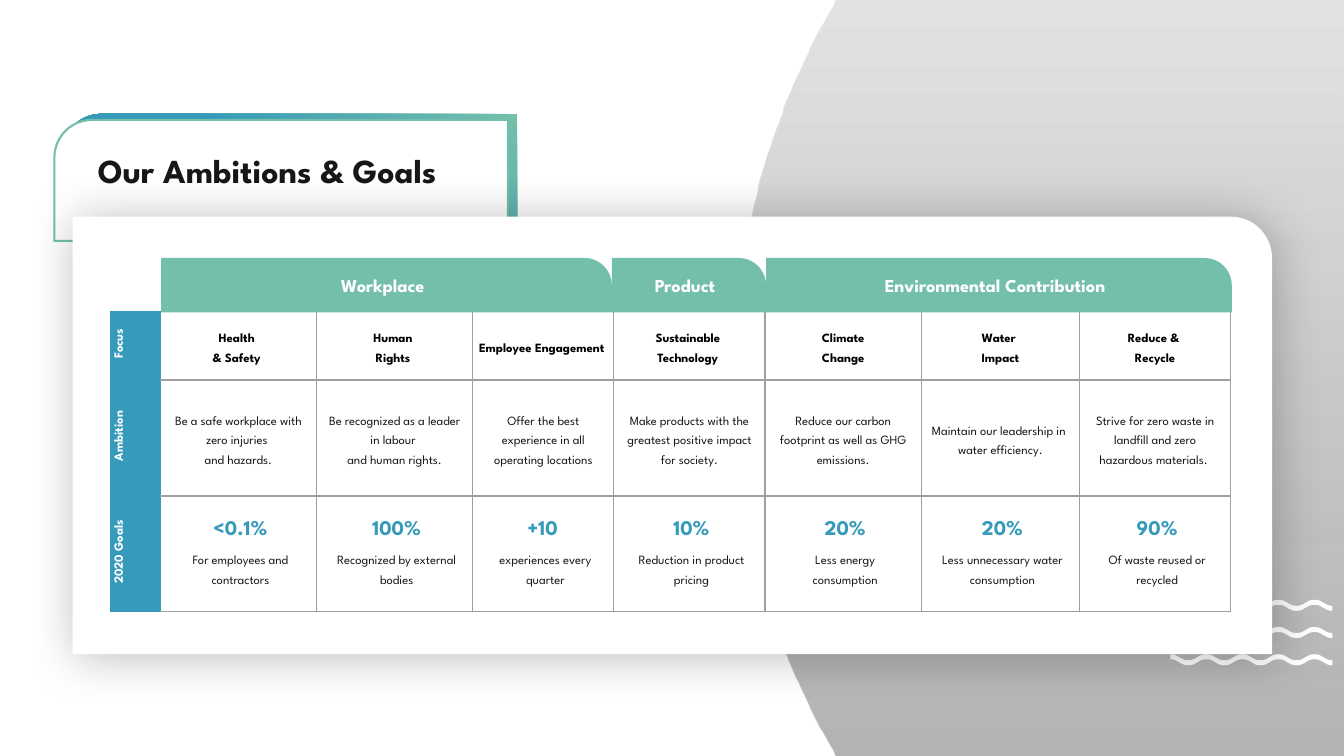
import pptx
import pptx.dml.color
import pptx.enum.shapes
import pptx.enum.text
import pptx.oxml
import pptx.oxml.ns
import pptx.util

PX = 9144  # 100 px to the inch
TEAL, BLUE, WHITE, INK, GREY = "74BFAB", "369ABA", "FFFFFF", "181717", "9F9FA0"
FONT = "League Spartan"
CENTER = pptx.enum.text.PP_ALIGN.CENTER
MIDDLE = pptx.enum.text.MSO_ANCHOR.MIDDLE
rgb = pptx.dml.color.RGBColor.from_string
qn = pptx.oxml.ns.qn
nsdecls = pptx.oxml.ns.nsdecls


def write(tf, text, size=9, color=INK, bold=False, align=CENTER, spacing=None, before=0):
    """Add one paragraph for each line of text, using the empty first one if there is one."""
    for line in text.split("\n"):
        p = tf.paragraphs[0] if not tf.text else tf.add_paragraph()
        p.alignment = align
        p.space_before = pptx.util.Pt(before)
        if spacing:
            p.line_spacing = pptx.util.Pt(spacing)
        r = p.add_run()
        r.text = line
        r.font.name = FONT
        r.font.size = pptx.util.Pt(size)
        r.font.bold = bold
        r.font.color.rgb = rgb(color)


def add_panel(x, y, w, h, corner, color):
    """Add a rectangle with one rounded corner, without line or shadow."""
    sp = s.shapes.add_shape(pptx.enum.shapes.MSO_SHAPE.ROUND_1_RECTANGLE,
                            x * PX, y * PX, w * PX, h * PX)
    sp.adjustments[0] = corner
    sp.shadow.inherit = False
    sp.fill.solid()
    sp.fill.fore_color.rgb = rgb(color)
    sp.line.fill.background()
    return sp


prs = pptx.Presentation()
prs.slide_width = pptx.util.Inches(13.3334)
prs.slide_height = 750 * PX
s = prs.slides.add_slide(prs.slide_layouts[5])

# Title frame
back = add_panel(63, 113, 450, 120, 0.31, TEAL)
back.fill.gradient()
back.fill.gradient_angle = 315
for stop, position, color in zip(back.fill.gradient_stops, (0, 0.56), (TEAL, BLUE)):
    stop.position = position
    stop.color.rgb = rgb(color)
front = add_panel(54, 119, 450, 120, 0.31, WHITE)
front.line.color.rgb = rgb(TEAL)
front.line.width = pptx.util.Pt(1.5)
for sp in (back, front):
    sp.element.spPr.find(qn("a:xfrm")).set("flipH", "1")

# Grey disc and white waves: segments of one point are lines, of three points are curves
outlines = [[[(1333, 0)], [(830, 0)], [(818, 21)],
             [(761, 126), (728, 247), (728, 375)], [(728, 503), (761, 624), (818, 729)],
             [(830, 750)], [(1333, 750)]]]
half_wave = 161 / 9
for top in (595, 622, 649):
    there, again = [], []
    for i in range(9):
        x1, x2 = 1161 + i * half_wave, 1161 + (i + 1) * half_wave
        y1, y2 = (top, top + 6) if i % 2 == 0 else (top + 6, top)
        mid = (x1 + x2) / 2
        there.append([(mid, y1), (mid, y2), (x2, y2)])
        again.insert(0, [(mid, y2 + 5), (mid, y1 + 5), (x1, y1 + 5)])
    outlines.append([[(1161, top)]] + there + [[(1322, top + 11)]] + again)

freeforms = []
for segments in outlines:
    points = [(round(x * PX), round(y * PX)) for segment in segments for x, y in segment]
    builder = s.shapes.build_freeform(*points[0])
    builder.add_line_segments(points[1:], close=True)
    sp = builder.convert_to_shape()
    lines = list(sp.element.spPr.iter(qn("a:lnTo")))
    for segment in segments[1:]:
        parts = [lines.pop(0) for point in segment]
        if len(parts) == 3:
            curve = pptx.oxml.parse_xml(f'<a:cubicBezTo {nsdecls("a")}/>')
            parts[0].addprevious(curve)
            for part in parts:
                curve.append(part[0])
                part.getparent().remove(part)
    sp.shadow.inherit = False
    sp.line.fill.background()
    sp.fill.solid()
    sp.fill.fore_color.rgb = rgb(WHITE)
    freeforms.append(sp)

disc = freeforms[0]
disc.fill.gradient()
disc.fill.gradient_angle = 270
for stop, position, color in zip(disc.fill.gradient_stops, (0, 0.99), ("D5D5D5", "797777")):
    stop.position = position
    stop.color.rgb = rgb(color)
for clr, opacity in zip(disc.element.spPr.iter(qn("a:srgbClr")), (64000, 55000)):
    clr.append(pptx.oxml.parse_xml(f'<a:alpha {nsdecls("a")} val="{opacity}"/>'))

# Title
title = s.shapes.title
title.left, title.top, title.width, title.height = 94 * PX, 146 * PX, 373 * PX, 46 * PX
tf = title.text_frame
tf.word_wrap = True
tf.vertical_anchor = MIDDLE
tf.margin_left = tf.margin_top = tf.margin_right = tf.margin_bottom = 3 * PX
write(tf, "Our Ambitions & Goals", size=24, bold=True, align=pptx.enum.text.PP_ALIGN.LEFT)
freeforms[-1].element.addnext(title.element)

# Card
card = add_panel(72, 215, 1190, 434, 0.094, WHITE)
card.element.spPr.find(qn("a:effectLst")).append(pptx.oxml.parse_xml(
    f'<a:outerShdw {nsdecls("a")} blurRad="444500" dist="38100" dir="2700000" rotWithShape="0">'
    '<a:srgbClr val="000000"><a:alpha val="25000"/></a:srgbClr></a:outerShdw>'))

# Table
labels = ["Focus", "Ambition", "2020 Goals"]
focus = ["Health \n& Safety ", "Human \nRights ", "Employee Engagement ",
         "Sustainable \nTechnology ", "Climate\n Change ", "Water \nImpact",
         "Reduce & \nRecycle"]
ambitions = ["Be a safe workplace with zero injuries \nand hazards.",
             "Be recognized as a leader in labour \nand human rights.",
             "Offer the best experience in all operating locations",
             "Make products with the greatest positive impact for society.",
             "Reduce our carbon footprint as well as GHG emissions.",
             "Maintain our leadership in \nwater efficiency.",
             "Strive for zero waste in landfill and zero hazardous materials. "]
goals = [("<0.1%", "For employees and contractors"),
         ("100%", "Recognized by external bodies"),
         ("+10 ", "experiences every quarter"),
         ("10%", "Reduction in product pricing"),
         ("20%", "Less energy consumption"),
         ("20%", "Less unnecessary water consumption"),
         ("90%", "Of waste reused or recycled")]
widths = [49, 155, 155, 140, 150, 155, 157, 150]
heights = [68, 115, 115]
wide_margins = (20, 3, 16, 3)
row_margins = [(0, 0, 0, 0), (10, 10, 10, 10), wide_margins]

table = s.shapes.add_table(3, 8, 110 * PX, 309 * PX, sum(widths) * PX, sum(heights) * PX).table
table.first_row = table.horz_banding = False
for column, width in zip(table.columns, widths):
    column.width = width * PX
for row, height in zip(table.rows, heights):
    row.height = height * PX

for i in range(3):
    for j in range(8):
        cell = table.cell(i, j)
        tf = cell.text_frame
        cell.vertical_anchor = MIDDLE
        margins = row_margins[i] if j else wide_margins
        cell.margin_left, cell.margin_top, cell.margin_right, cell.margin_bottom = [
            m * PX for m in margins]
        tcPr = cell._tc.get_or_add_tcPr()
        if j == 0:
            cell.fill.solid()
            cell.fill.fore_color.rgb = rgb(BLUE)
            tcPr.set("vert", "vert270")
            write(tf, labels[i], color=WHITE, bold=True)
        else:
            cell.fill.background()
            if i == 0:
                write(tf, focus[j - 1], color="000000", bold=True, spacing=13.8)
            elif i == 1:
                write(tf, ambitions[j - 1], spacing=13.8)
            else:
                figure, note = goals[j - 1]
                write(tf, figure, size=15, color=BLUE, bold=True, spacing=13.8, before=6)
                write(tf, note, spacing=13.8, before=6)
        for k, side in enumerate("LRTB"):
            color = BLUE if j == 0 or (j == 1 and side == "L") else GREY
            tcPr.insert(k, pptx.oxml.parse_xml(
                f'<a:ln{side} {nsdecls("a")} w="12700"><a:solidFill>'
                f'<a:srgbClr val="{color}"/></a:solidFill></a:ln{side}>'))

# Group headers above the table
for text, x, width in [("Workplace", 160, 447), ("Product", 607, 153),
                       ("Environmental Contribution", 760, 462)]:
    header = add_panel(x, 256, width, 54, 0.5, TEAL)
    header.text_frame.word_wrap = True
    header.text_frame.vertical_anchor = MIDDLE
    write(header.text_frame, text, size=13, color=WHITE, bold=True)

prs.save("out.pptx")
